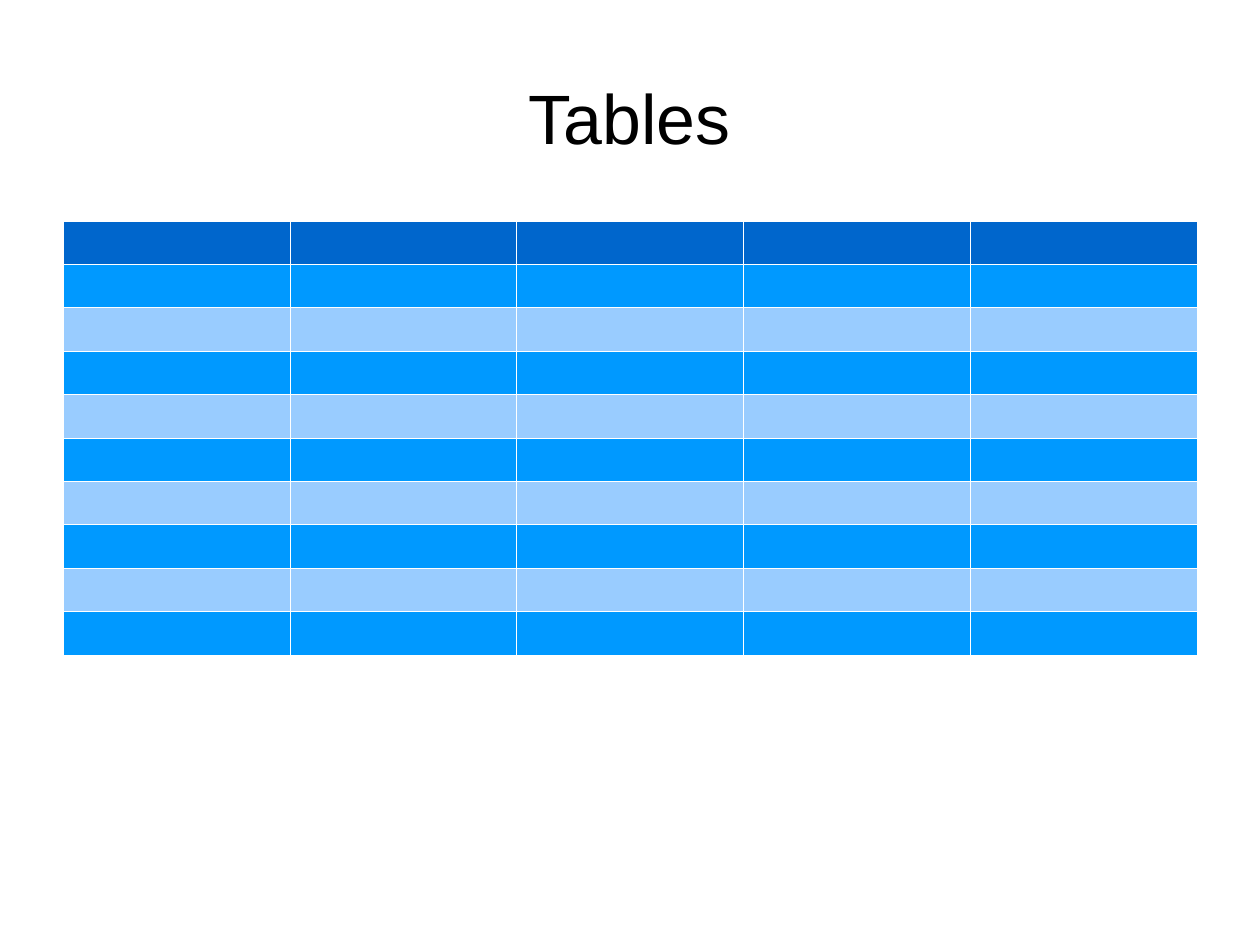
from dataclasses import dataclass

import lxml.etree
import pptx
import pptx.dml.color
import pptx.enum.text
import pptx.oxml.ns
import pptx.slide
import pptx.table
import pptx.util

Inches = pptx.util.Inches
COLOURS = {
    "text": "000000",
    "border": "FFFFFF",
    "header": "0066CC",
    "odd row": "0099FF",
    "even row": "99CCFF",
}
CM_PER_INCH = 2.54
SLIDE_WIDTH, SLIDE_HEIGHT = Inches(28 / CM_PER_INCH), Inches(21 / CM_PER_INCH)
BORDER_WIDTH = pptx.util.Pt(0.06)
LEFT, WIDTH = Inches(0.55), Inches(9.92)
FRAME_FORMAT = {
    "margin_left": 0,
    "margin_right": 0,
    "margin_top": 0,
    "margin_bottom": 0,
    "vertical_anchor": pptx.enum.text.MSO_ANCHOR.MIDDLE,
    "word_wrap": True,
}
TITLE_FONT = {"name": "Arial", "size": pptx.util.Pt(44)}
CELL_FORMAT = {"margin_top": 0, "margin_bottom": 0}


@dataclass(frozen=True)
class BandedRow:
    """One table row: its fill colour and height."""

    colour: str
    height: int = Inches(0.38)


def apply_format(target: object, values: dict) -> None:
    """Set every attribute in values on the target."""
    for name, value in values.items():
        setattr(target, name, value)


def rgb(name: str) -> pptx.dml.color.RGBColor:
    """Look up a named colour."""
    return pptx.dml.color.RGBColor.from_string(COLOURS[name])


def add_title(slide: pptx.slide.Slide, text: str) -> None:
    """Add the centred slide title."""
    shape = slide.shapes.add_textbox(LEFT, Inches(0.33), WIDTH, Inches(1.38))
    apply_format(shape.text_frame, FRAME_FORMAT)
    paragraph = shape.text_frame.paragraphs[0]
    paragraph.alignment = pptx.enum.text.PP_ALIGN.CENTER
    run = paragraph.add_run()
    run.text = text
    apply_format(run.font, TITLE_FONT)
    run.font.color.rgb = rgb("text")


def add_borders(cell: pptx.table._Cell) -> None:
    """Draw a thin line on all four sides of a cell."""
    qualified = pptx.oxml.ns.qn
    properties = cell._tc.get_or_add_tcPr()
    for position, side in enumerate(("lnL", "lnR", "lnT", "lnB")):
        line = lxml.etree.Element(qualified(f"a:{side}"), w=str(int(BORDER_WIDTH)))
        fill = lxml.etree.SubElement(line, qualified("a:solidFill"))
        lxml.etree.SubElement(fill, qualified("a:srgbClr"), val=COLOURS["border"])
        properties.insert(position, line)


def add_banded_table(
    slide: pptx.slide.Slide, rows: list[BandedRow], column_count: int
) -> None:
    """Add an empty table with equal columns and one fill for each row."""
    height = sum(row.height for row in rows)
    table = slide.shapes.add_table(
        len(rows), column_count, LEFT, Inches(1.93), WIDTH, height
    ).table
    for table_row, row in zip(table.rows, rows):
        table_row.height = row.height
        for cell in table_row.cells:
            apply_format(cell, CELL_FORMAT)
            cell.fill.solid()
            cell.fill.fore_color.rgb = rgb(row.colour)
            add_borders(cell)


presentation = pptx.Presentation()
presentation.slide_width = SLIDE_WIDTH
presentation.slide_height = SLIDE_HEIGHT
slide = presentation.slides.add_slide(presentation.slide_layouts[6])
add_title(slide, "Tables")
bands = [BandedRow("odd row" if number % 2 else "even row") for number in range(1, 10)]
add_banded_table(slide, [BandedRow("header"), *bands], column_count=5)
presentation.save("out.pptx")
